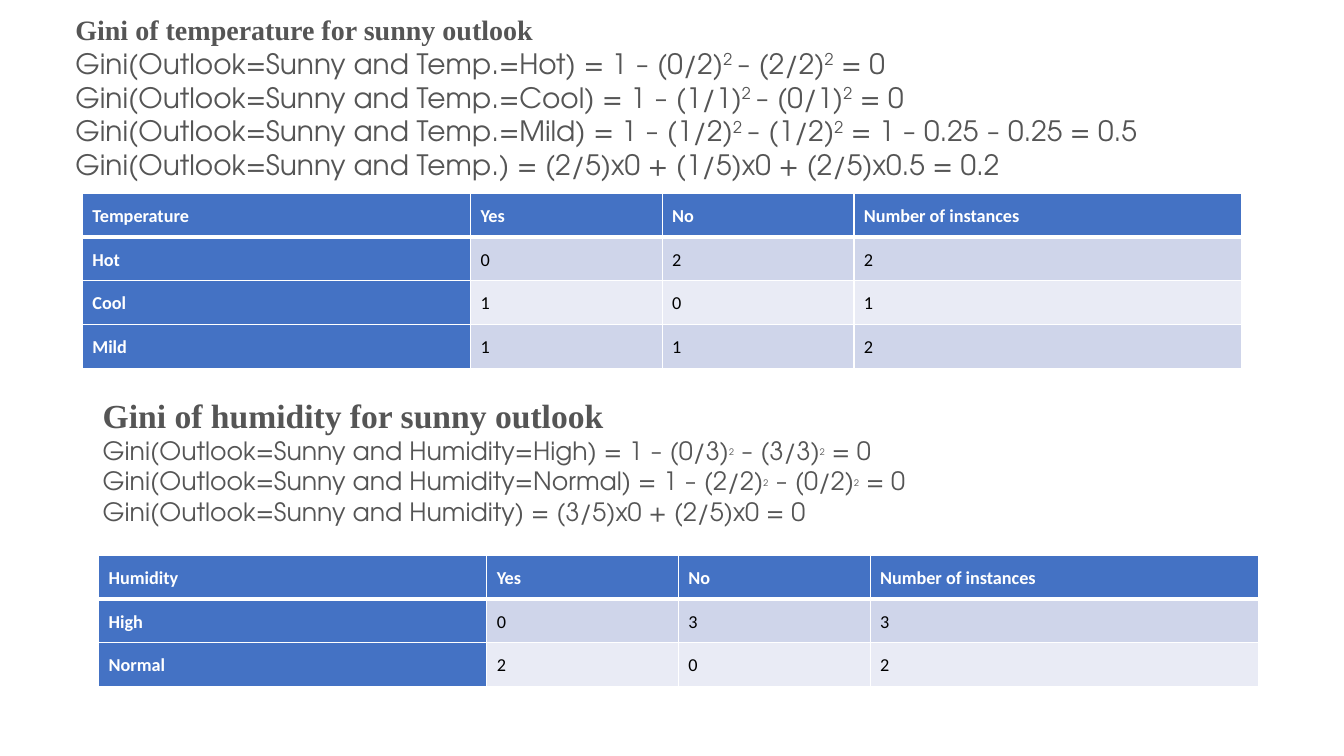
from itertools import groupby

from lxml import etree
from pptx import Presentation
from pptx import util as u
from pptx.dml.color import RGBColor
from pptx.enum import text
from pptx.oxml import ns

WHITE = RGBColor(0xFF, 0xFF, 0xFF)
BLACK = RGBColor(0, 0, 0)
GREY = RGBColor(0x55, 0x55, 0x55)
BLUE = RGBColor(0x44, 0x72, 0xC4)
BANDS = (RGBColor(0xE9, 0xEB, 0xF5), RGBColor(0xCF, 0xD5, 0xEA))

TEMPERATURE_FORMULAS = (
    "Gini(Outlook=Sunny and Temp.=Hot) = 1 – (0/2)^2 ^– (2/2)^2^ = 0",
    "Gini(Outlook=Sunny and Temp.=Cool) = 1 – (1/1)^2 ^– (0/1)^2^ = 0",
    "Gini(Outlook=Sunny and Temp.=Mild) = 1 – (1/2)^2 ^– (1/2)^2^ = 1 – 0.25 – 0.25 = 0.5",
    "Gini(Outlook=Sunny and Temp.) = (2/5)x0 + (1/5)x0 + (2/5)x0.5 = 0.2",
)
HUMIDITY_FORMULAS = (
    "Gini(Outlook=Sunny and Humidity=High) = 1 – (0/3)^2^ – (3/3)^2^ = 0",
    "Gini(Outlook=Sunny and Humidity=Normal) = 1 – (2/2)^2^ – (0/2)^2^ = 0",
    "Gini(Outlook=Sunny and Humidity) = (3/5)x0 + (2/5)x0 = 0",
)
TEMPERATURE_COUNTS = (("Hot", 0, 2, 2), ("Cool", 1, 0, 1), ("Mild", 1, 1, 2))
HUMIDITY_COUNTS = (("High", 0, 3, 3), ("Normal", 2, 0, 2))


class GiniSlide:
    heading_font = "Times New Roman"
    formula_font = "TeX Gyre Adventor"
    plain_font = "Calibri"
    column_widths = (9.78, 4.83, 4.83, 9.78)
    row_height = 1.09

    def __init__(self, deck):
        self.slide = deck.slides.add_slide(deck.slide_layouts[6])

    def run(self, paragraph, words, font, size, color, bold=False):
        run = paragraph.add_run()
        run.text = words
        run.font.name = font
        run.font.size = u.Pt(size)
        run.font.color.rgb = color
        run.font.bold = bold
        return run

    def formula(self, paragraph, line, size, power_size):
        for index, piece in enumerate(line.split("^")):
            raised = index % 2 == 1
            for dash, chars in groupby(piece, lambda char: char == "–"):
                font = self.plain_font if dash else self.formula_font
                run = self.run(paragraph, "".join(chars), font,
                               power_size if raised else size, GREY)
                if raised:
                    run.font._element.set("baseline", "30000")

    def calculation(self, place, heading, heading_size, formulas, size, power_size, anchor):
        frame = self.slide.shapes.add_textbox(*map(u.Cm, place)).text_frame
        frame.word_wrap = True
        frame.auto_size = text.MSO_AUTO_SIZE.SHAPE_TO_FIT_TEXT
        frame.vertical_anchor = anchor
        self.run(frame.paragraphs[0], heading, self.heading_font, heading_size, GREY, True)
        for line in formulas:
            self.formula(frame.add_paragraph(), line, size, power_size)

    def borders(self, cell, row):
        properties = cell._tc.get_or_add_tcPr()
        widths = {"lnL": 1, "lnR": 1, "lnT": 3 if row == 1 else 1, "lnB": 3 if row == 0 else 1}
        for side, width in widths.items():
            line = etree.SubElement(properties, ns.qn("a:" + side), w=str(u.Pt(width)))
            fill = etree.SubElement(line, ns.qn("a:solidFill"))
            etree.SubElement(fill, ns.qn("a:srgbClr"), val=str(WHITE))

    def cell(self, cell, value, row, column):
        label = row == 0 or column == 0
        self.borders(cell, row)
        cell.fill.solid()
        cell.fill.fore_color.rgb = BLUE if label else BANDS[row % 2]
        cell.margin_left = cell.margin_right = u.Cm(0.25)
        cell.margin_top = cell.margin_bottom = u.Cm(0.25)
        cell.vertical_anchor = text.MSO_ANCHOR.MIDDLE
        paragraph = cell.text_frame.paragraphs[0]
        paragraph.line_spacing = 1.07
        paragraph.space_after = u.Pt(18)
        self.run(paragraph, str(value), self.plain_font, 13, WHITE if label else BLACK, label)

    def counts(self, left, top, feature, counts):
        rows = ((feature, "Yes", "No", "Number of instances"), *counts)
        size = (sum(self.column_widths), self.row_height * len(rows))
        table = self.slide.shapes.add_table(
            len(rows), len(self.column_widths), *map(u.Cm, (left, top, *size))).table
        for column, width in zip(table.columns, self.column_widths):
            column.width = u.Cm(width)
        for row, values in enumerate(rows):
            for column, value in enumerate(values):
                self.cell(table.cell(row, column), value, row, column)


def main():
    deck = Presentation()
    deck.slide_width, deck.slide_height = u.Cm(33.87), u.Cm(19.05)
    gini = GiniSlide(deck)
    gini.counts(2.08, 4.88, "Temperature", TEMPERATURE_COUNTS)
    gini.counts(2.49, 14, "Humidity", HUMIDITY_COUNTS)
    gini.calculation((1.65, 0.18, 27.36, 4.52), "Gini of temperature for sunny outlook", 20,
                     TEMPERATURE_FORMULAS, 20, 20, text.MSO_ANCHOR.MIDDLE)
    gini.calculation((2.34, 9.83, 24.51, 3.58), "Gini of humidity for sunny outlook", 24,
                     HUMIDITY_FORMULAS, 18, 11, text.MSO_ANCHOR.TOP)
    deck.save("out.pptx")


if __name__ == "__main__":
    main()
